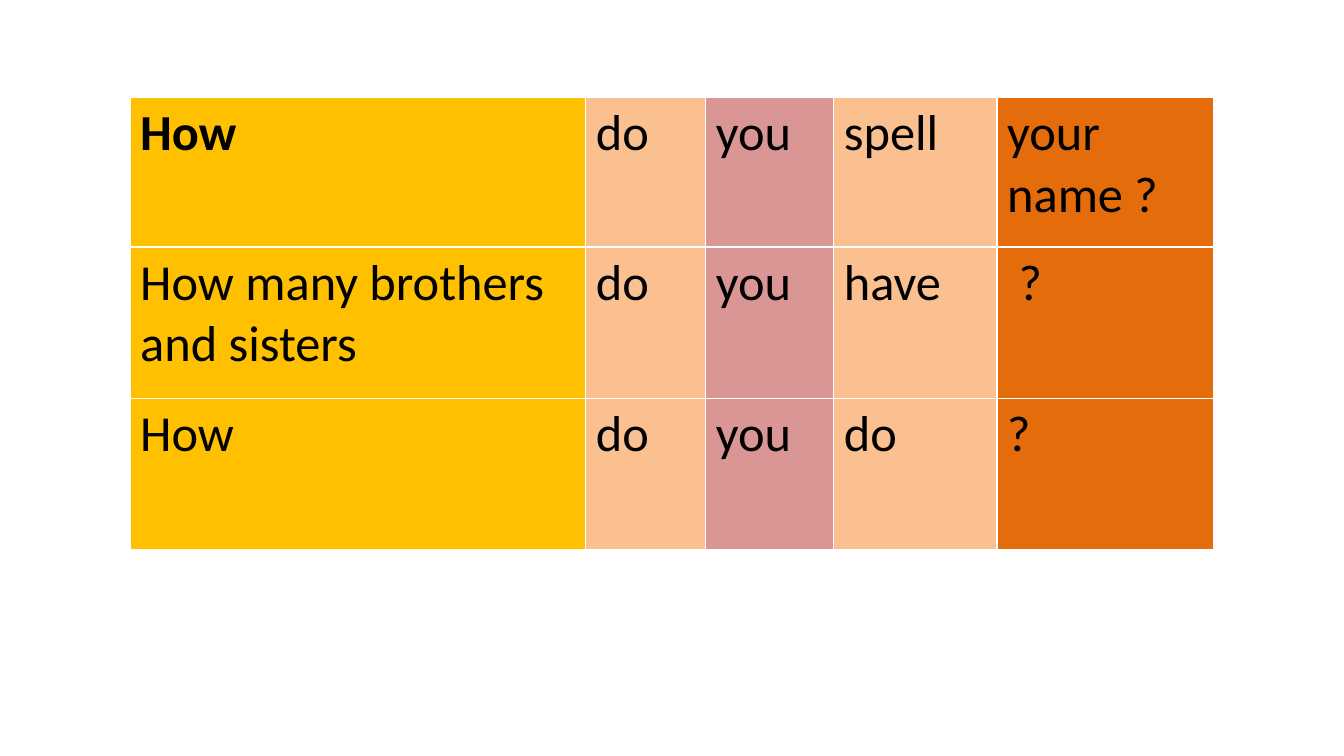
from dataclasses import dataclass

from lxml import etree
from pptx import Presentation
from pptx.dml.color import RGBColor
from pptx.oxml.ns import qn
from pptx.util import Inches, Pt

BORDER_TAGS = ("a:lnL", "a:lnR", "a:lnT", "a:lnB")
BORDER_COLOR = "FFFFFF"
BORDER_WIDTH = Pt(1)
FONT = {"name": "Calibri", "size": Pt(36), "bold": False}


@dataclass
class Column:
    width: float
    fill: str
    words: tuple[str, ...]


COLUMNS = [
    Column(4.52, "FFC000", ("How", "How many brothers and sisters", "How")),
    Column(1.19, "FAC090", ("do", "do", "do")),
    Column(1.27, "D99694", ("you", "you", "you")),
    Column(1.62, "FAC090", ("spell", "have", "do")),
    Column(2.15, "E46C0A", ("your name ?", " ?", "?")),
]
ROW_HEIGHTS = (1.48, 1.5, 1.5)


def set_color(target, color: str) -> None:
    target.rgb = RGBColor.from_string(color)


def add_borders(cell) -> None:
    tc_pr = cell._tc.get_or_add_tcPr()
    for tag in BORDER_TAGS:
        ln = etree.SubElement(tc_pr, qn(tag), w=str(BORDER_WIDTH))
        solid = etree.SubElement(ln, qn("a:solidFill"))
        etree.SubElement(solid, qn("a:srgbClr"), val=BORDER_COLOR)


def format_cell(cell, text: str, fill: str, bold: bool) -> None:
    add_borders(cell)
    cell.fill.solid()
    set_color(cell.fill.fore_color, fill)
    r = cell.text_frame.paragraphs[0].add_run()
    r.text = text
    for name, value in {**FONT, "bold": bold}.items():
        setattr(r.font, name, value)
    set_color(r.font.color, "000000")


def add_question_table(s) -> None:
    width = sum(column.width for column in COLUMNS)
    frame = s.shapes.add_table(
        len(ROW_HEIGHTS), len(COLUMNS),
        Inches(1.29), Inches(0.97), Inches(width), Inches(sum(ROW_HEIGHTS)),
    )
    table = frame.table
    table.first_row = False
    table.horz_banding = False
    for row, height in zip(table.rows, ROW_HEIGHTS):
        row.height = Inches(height)
    for j, column in enumerate(COLUMNS):
        table.columns[j].width = Inches(column.width)
        for i, text in enumerate(column.words):
            format_cell(table.cell(i, j), text, column.fill, i == j == 0)


def main() -> None:
    prs = Presentation()
    prs.slide_width = Inches(13.33)
    prs.slide_height = Inches(7.5)
    s = prs.slides.add_slide(prs.slide_layouts[6])
    add_question_table(s)
    prs.save("out.pptx")


if __name__ == "__main__":
    main()
